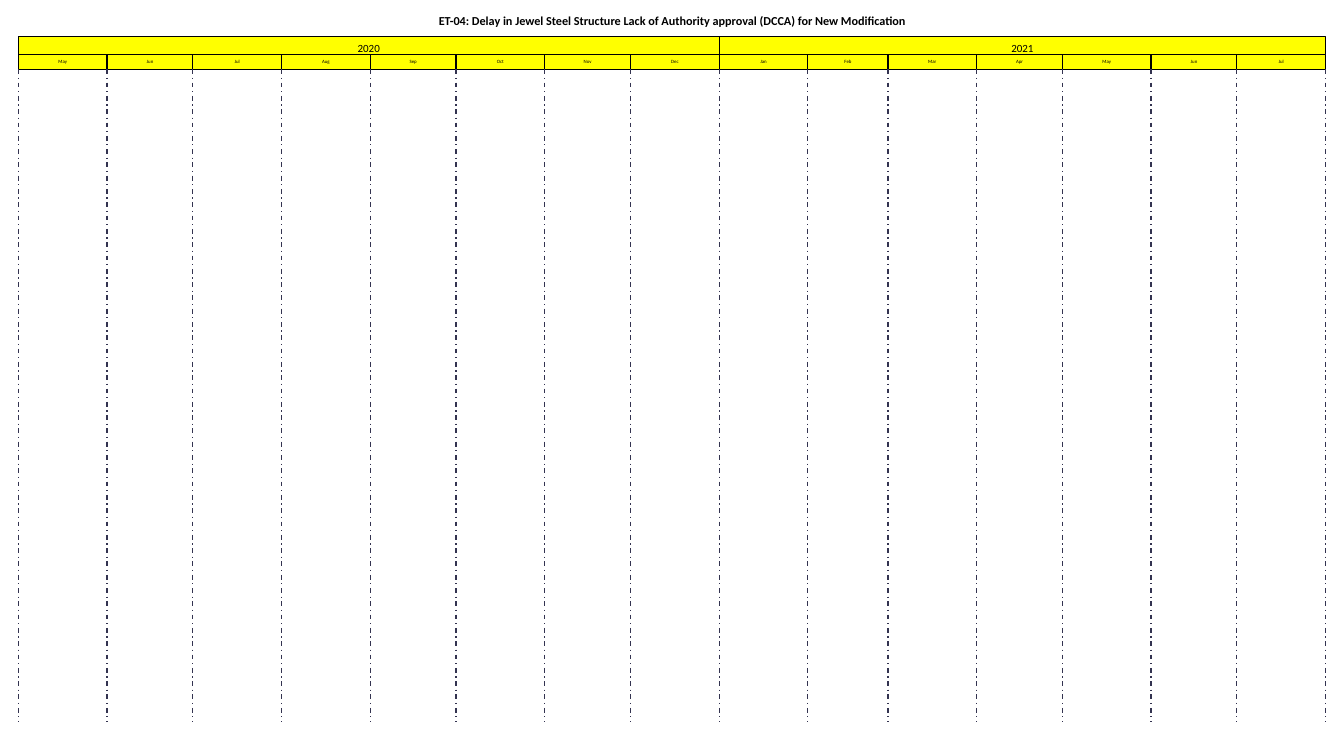
from itertools import accumulate

from lxml import etree
from pptx import Presentation, util as u
from pptx.dml.color import RGBColor
from pptx.enum import dml, shapes, text
from pptx.oxml import ns

WIDTH, HEIGHT = 15.31, 8.33
LEFT, RIGHT = 0.21, 15.1
TITLE_TOP, YEAR_TOP, MONTH_TOP, GRID_TOP, GRID_BOTTOM = 0.1, 0.42, 0.62, 0.79, 8.23
BLACK, WHITE, YELLOW, NAVY = "000000", "FFFFFF", "FFFF00", "333350"
TITLE = ("ET-04: Delay in Jewel Steel Structure Lack of Authority approval "
         "(DCCA) for New Modification")
YEARS = {
    "2020": {"May": 31, "Jun": 30, "Jul": 31, "Aug": 31,
             "Sep": 30, "Oct": 31, "Nov": 30, "Dec": 31},
    "2021": {"Jan": 31, "Feb": 28, "Mar": 31, "Apr": 30,
             "May": 31, "Jun": 30, "Jul": 31},
}


def color(value):
    """Turn a hex string into a colour."""
    return RGBColor.from_string(value)


def set_format(target, values):
    """Set every attribute named in a dict of format values."""
    for name, value in values.items():
        setattr(target, name, value)


def boundaries(days):
    """Return the column edges of periods whose widths follow their days."""
    scale = (RIGHT - LEFT) / sum(days)
    return [LEFT + scale * day for day in accumulate(days, initial=0)]


def add_box(slide, label, left, top, right, bottom, size, fill=None,
            line=BLACK, line_width=1, bold=False, side_margin=0.1):
    """Add a bordered rectangle with centred text."""
    shape = slide.shapes.add_shape(
        shapes.MSO_SHAPE.RECTANGLE, u.Inches(left), u.Inches(top),
        u.Inches(right - left), u.Inches(bottom - top))
    shape.shadow.inherit = False
    if fill:
        shape.fill.solid()
        shape.fill.fore_color.rgb = color(fill)
    else:
        shape.fill.background()
    shape.line.color.rgb = color(line)
    shape.line.width = u.Pt(line_width)
    set_format(shape.text_frame, {
        "word_wrap": True,
        "auto_size": text.MSO_AUTO_SIZE.SHAPE_TO_FIT_TEXT,
        "vertical_anchor": text.MSO_ANCHOR.TOP,
        "margin_left": u.Inches(side_margin),
        "margin_right": u.Inches(side_margin),
        "margin_top": u.Inches(0.05),
        "margin_bottom": u.Inches(0.05),
    })
    paragraph = shape.text_frame.paragraphs[0]
    paragraph.alignment = text.PP_ALIGN.CENTER
    run = paragraph.add_run()
    run.text = label
    set_format(run.font, {"name": "Calibri", "size": u.Pt(size), "bold": bold})
    run.font.color.rgb = color(BLACK)


def add_gridline(slide, x):
    """Add a dash-dot vertical line under a month edge."""
    connector = slide.shapes.add_connector(
        shapes.MSO_CONNECTOR.STRAIGHT, u.Inches(x), u.Inches(GRID_TOP),
        u.Inches(x), u.Inches(GRID_BOTTOM))
    connector.line.color.rgb = color(NAVY)
    set_format(connector.line, {"width": u.Pt(1),
                                "dash_style": dml.MSO_LINE.DASH_DOT})
    etree.SubElement(connector.element.spPr, ns.qn("a:effectLst"))


def add_header_row(slide, labels, days, top, bottom, **box_format):
    """Add a row of yellow period boxes and return its column edges."""
    edges = boundaries(days)
    for label, left, right in zip(labels, edges, edges[1:]):
        add_box(slide, label, left, top, right, bottom, fill=YELLOW, **box_format)
    return edges


def main():
    """Build the empty timeline slide."""
    presentation = Presentation()
    set_format(presentation, {"slide_width": u.Inches(WIDTH),
                              "slide_height": u.Inches(HEIGHT)})
    slide = presentation.slides.add_slide(presentation.slide_layouts[6])
    add_box(slide, TITLE, LEFT, TITLE_TOP, RIGHT, 0.41, size=10,
            line=WHITE, line_width=0, bold=True)
    add_header_row(slide, YEARS, [sum(months.values()) for months in YEARS.values()],
                   YEAR_TOP, MONTH_TOP, size=9)
    months = [item for year in YEARS.values() for item in year.items()]
    names, days = zip(*months)
    for x in add_header_row(slide, names, days, MONTH_TOP, GRID_TOP,
                            size=4, side_margin=0):
        add_gridline(slide, x)
    presentation.save("out.pptx")


if __name__ == "__main__":
    main()
